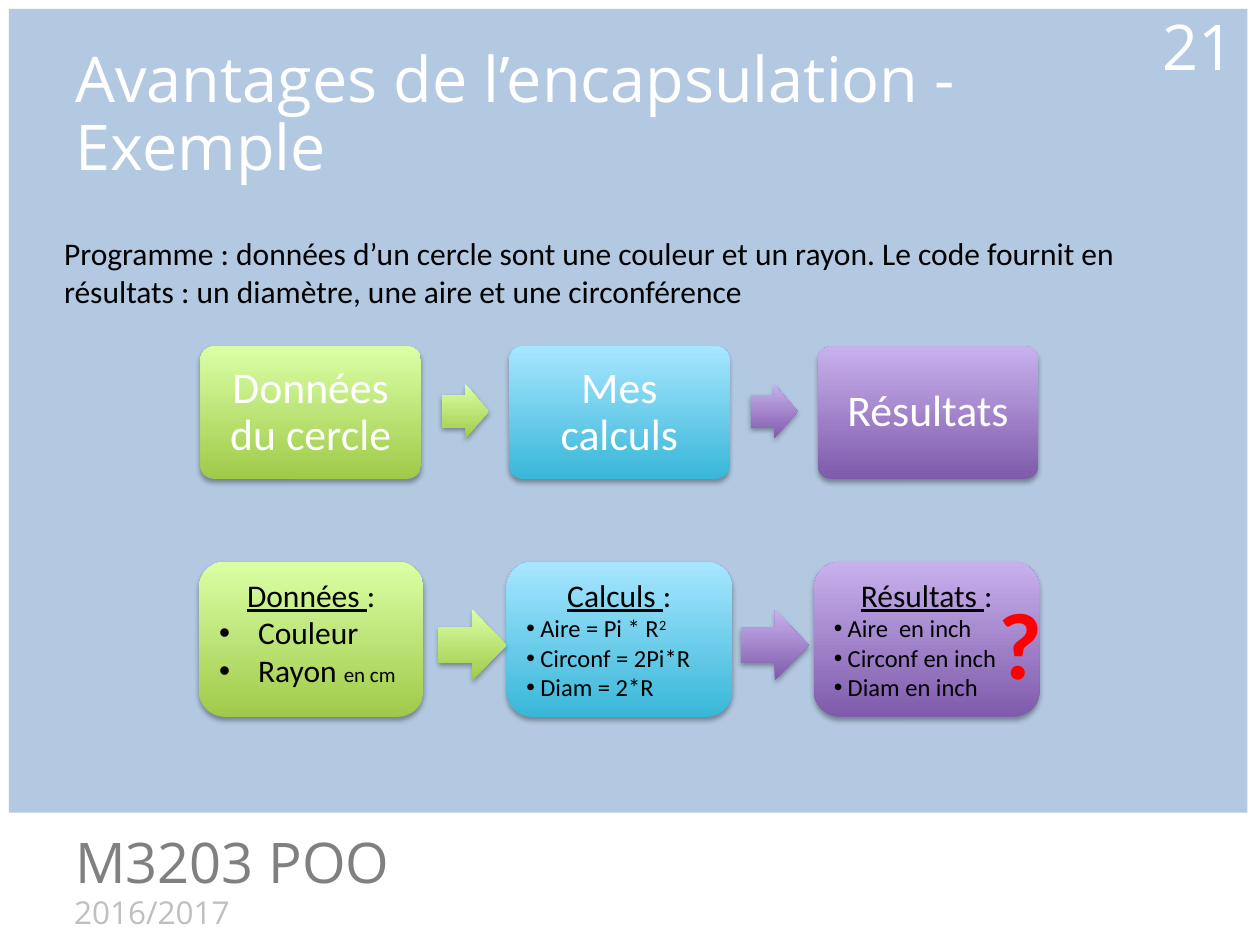
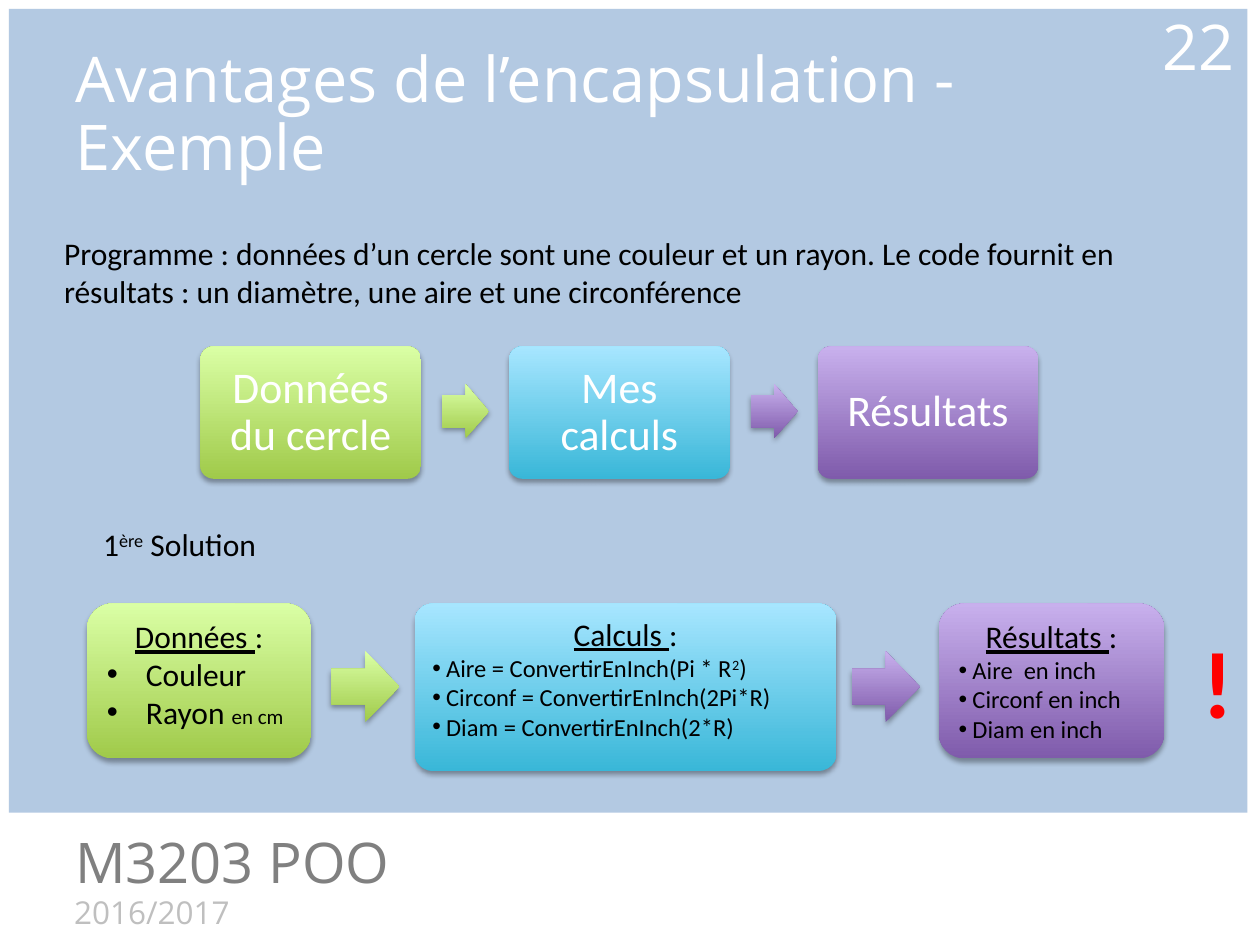
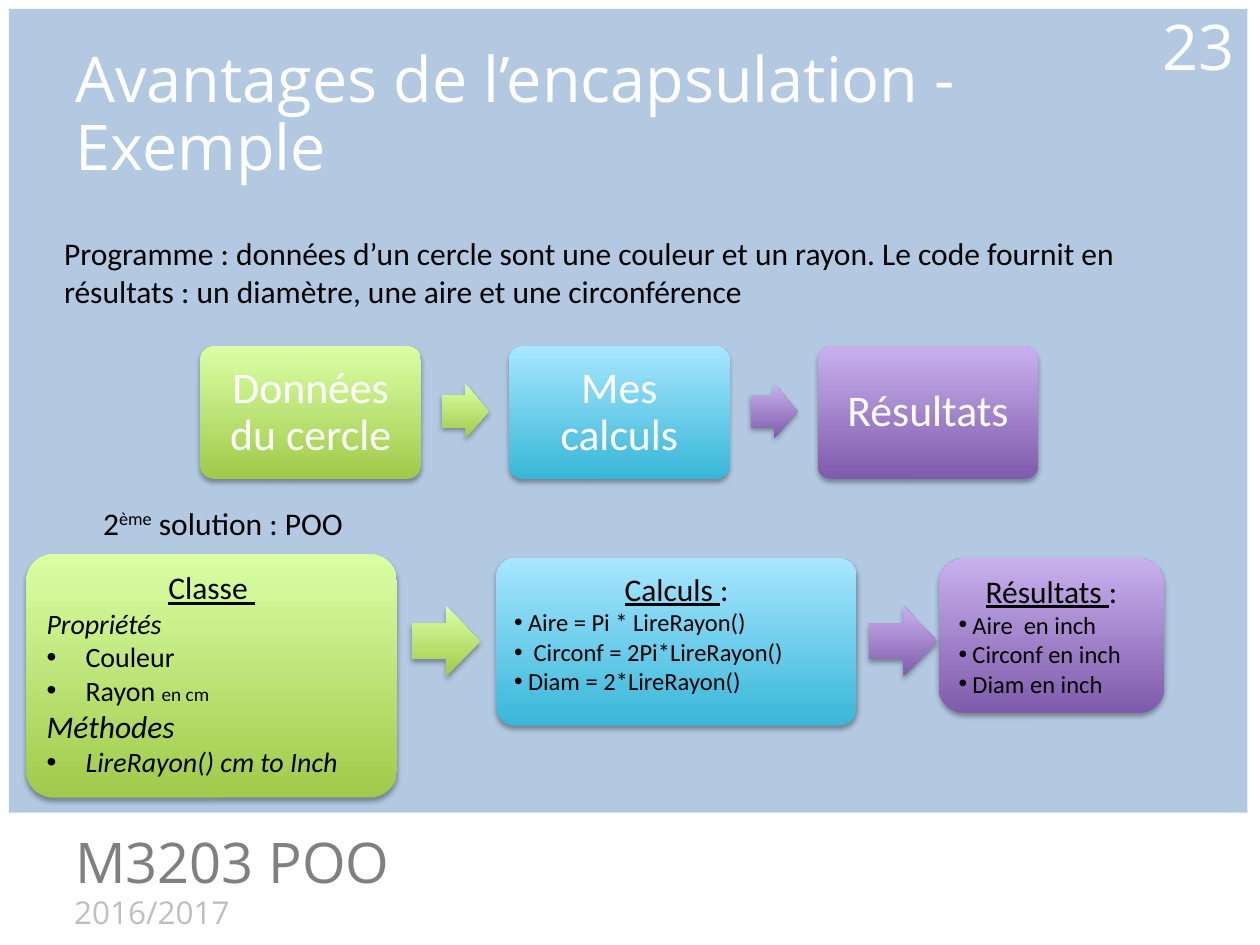
from dataclasses import dataclass

from lxml.etree import SubElement as Sub
from pptx import Presentation
from pptx.dml.color import RGBColor
from pptx.enum.shapes import MSO_SHAPE as Kind
from pptx.enum.text import MSO_ANCHOR as Anchor, PP_ALIGN as Align
from pptx.oxml.ns import qn
from pptx.util import Inches, Pt

WHITE = RGBColor(0xFF, 0xFF, 0xFF)
BLACK = RGBColor(0x00, 0x00, 0x00)
RED = RGBColor(0xFF, 0x00, 0x00)
BLUE = RGBColor(0x95, 0xB3, 0xD7)
GREY = RGBColor(0x80, 0x80, 0x80)
PALE = RGBColor(0xBF, 0xBF, 0xBF)
GREEN = (RGBColor(0xA0, 0xCA, 0x4A), RGBColor(0xDA, 0xFF, 0xA5))
CYAN = (RGBColor(0x39, 0xB7, 0xD8), RGBColor(0xA7, 0xE6, 0xFF))
MAUVE = (RGBColor(0x7F, 0x5B, 0xAB), RGBColor(0xC8, 0xB0, 0xED))
BODY = "Calibri"
HEAD = "Open Sans"

Tones = tuple[RGBColor, RGBColor]
Area = tuple[float, float, float, float]


@dataclass(frozen=True)
class Run:
    text: str
    size: float | None = None
    under: bool = False
    sup: bool = False


@dataclass(frozen=True)
class Para:
    runs: tuple[Run, ...]
    size: float = 18
    color: RGBColor = BLACK
    face: str = BODY
    align: Align = Align.LEFT
    indent: float = 0
    slant: bool = False
    bold: bool = False
    space: float | None = None


@dataclass(frozen=True)
class Card:
    area: Area
    tones: Tones
    paras: tuple[Para, ...]
    round: float = 0.167


@dataclass(frozen=True)
class Page:
    number: int
    cards: tuple[Card, ...]
    arrows: tuple[float, float]
    top: float
    mark: tuple[str, Area] | None = None
    label: tuple[tuple[Run, ...], Area] | None = None


def line(text: str, **style) -> Para:
    return Para((Run(text),), **style)


def header(text: str, tail: str = ":") -> Para:
    runs = (Run(text + " ", under=True),) + ((Run(tail),) if tail else ())
    return Para(runs, align=Align.CENTER)


def point(*runs: Run) -> Para:
    return Para(runs, size=14, indent=0.11)


def item(*runs: Run, size: float = 18, slant: bool = False) -> Para:
    return Para(runs, size=size, indent=0.31, slant=slant)


def write(frame, paras: tuple[Para, ...], anchor: Anchor = Anchor.TOP,
          wrap: bool = True) -> None:
    frame.word_wrap = wrap
    frame.vertical_anchor = anchor
    for pos, para in enumerate(paras):
        out = frame.add_paragraph() if pos else frame.paragraphs[0]
        out.alignment = para.align
        if para.space:
            out.line_spacing = para.space
        if para.indent:
            props = out._p.get_or_add_pPr()
            props.set("marL", str(Inches(para.indent)))
            props.set("indent", str(-Inches(para.indent)))
            Sub(props, qn("a:buFont"), typeface="Arial")
            Sub(props, qn("a:buChar"), char="•")
        font = out.font
        font.name, font.size = para.face, Pt(para.size)
        font.bold, font.italic = para.bold, para.slant
        font.color.rgb = para.color
        for run in para.runs:
            part = out.add_run()
            part.text = run.text
            if run.size:
                part.font.size = Pt(run.size)
            if run.under:
                part.font.underline = True
            if run.sup:
                part.font._element.set("baseline", "30000")


def label(slide, area: Area, para: Para, anchor: Anchor = Anchor.TOP,
          wrap: bool = True) -> None:
    box = slide.shapes.add_textbox(*map(Inches, area))
    write(box.text_frame, (para,), anchor, wrap)


def block(slide, kind: Kind, area: Area, tones: Tones,
          adjust: tuple[float, ...] = ()):
    shape = slide.shapes.add_shape(kind, *map(Inches, area))
    shape.line.fill.background()
    shape.fill.gradient()
    shape.fill.gradient_angle = 90
    for stop, tone in zip(shape.fill.gradient_stops, tones):
        stop.color.rgb = tone
    for pos, value in enumerate(adjust):
        shape.adjustments[pos] = value
    shape.shadow.inherit = False
    effects = shape._element.spPr.find(qn("a:effectLst"))
    shadow = Sub(effects, qn("a:outerShdw"), blurRad=str(Pt(3.1)),
                 dist=str(Pt(1.8)), dir="5400000", rotWithShape="0")
    color = Sub(shadow, qn("a:srgbClr"), val=str(BLACK))
    Sub(color, qn("a:alpha"), val="35000")
    return shape


def base(slide, number: int) -> None:
    band = slide.shapes.add_shape(
        Kind.RECTANGLE, *map(Inches, (0.07, 0.07, 9.83, 6.38)))
    band.shadow.inherit = False
    band.line.fill.background()
    band.fill.solid()
    band.fill.fore_color.rgb = BLUE
    color = band._element.spPr.find(qn("a:solidFill"))[0]
    Sub(color, qn("a:alpha"), val="71000")
    label(slide, (0.49, 7.04, 4, 0.4),
          line("2016/2017", color=PALE, face=HEAD))
    label(slide, (0.5, 6.52, 5.12, 0.64),
          line("M3203 POO", size=32, color=GREY, face=HEAD))
    label(slide, (0.5, 0.3, 9, 1.25),
          line("Avantages de l’encapsulation - Exemple", size=36,
               color=WHITE, face=HEAD, space=0.9), Anchor.MIDDLE)
    label(slide, (0.41, 1.81, 8.65, 0.71),
          line("Programme : données d’un cercle sont une couleur et un rayon. "
               "Le code fournit en résultats : un diamètre, une aire et une "
               "circonférence"))
    label(slide, (8.63, 0.07, 1.27, 0.58),
          line(str(number), size=36, color=WHITE, face=HEAD,
               align=Align.RIGHT), Anchor.MIDDLE)


def flow(slide) -> None:
    steps = (("Données du cercle", GREEN), ("Mes calculs", CYAN),
             ("Résultats", MAUVE))
    for pos, (text, tones) in enumerate(steps):
        shape = block(slide, Kind.ROUNDED_RECTANGLE,
                      (1.59 + 2.45 * pos, 2.75, 1.75, 1.05), tones, (0.1,))
        frame = shape.text_frame
        frame.margin_top = frame.margin_bottom = Inches(0.1)
        write(frame, (line(text, size=25, color=WHITE, align=Align.CENTER,
                           space=0.9),), Anchor.MIDDLE)
    for pos, tones in enumerate((GREEN, MAUVE)):
        block(slide, Kind.RIGHT_ARROW,
              (3.51 + 2.45 * pos, 3.05, 0.37, 0.43), tones, (0.6, 0.5))


def draw(deck, page: Page) -> None:
    slide = deck.slides.add_slide(deck.slide_layouts[6])
    base(slide, page.number)
    flow(slide)
    for card in page.cards:
        shape = block(slide, Kind.ROUNDED_RECTANGLE, card.area, card.tones,
                      (card.round,))
        write(shape.text_frame, card.paras)
    for left, tones in zip(page.arrows, (GREEN, MAUVE)):
        block(slide, Kind.RIGHT_ARROW, (left, page.top + 0.38, 0.54, 0.56),
              tones)
    if page.mark:
        text, area = page.mark
        label(slide, area, line(text, size=54, color=RED, bold=True,
                                align=Align.CENTER), wrap=False)
    if page.label:
        runs, area = page.label
        label(slide, area, Para(runs), wrap=False)


DATA = (header("Données"), item(Run("Couleur")),
        item(Run("Rayon "), Run("en cm", 12)))
CLASS = (header("Classe", ""),
         line("Propriétés", size=16, slant=True),
         item(Run("Couleur"), size=16),
         item(Run("Rayon "), Run("en cm", 11), size=16),
         line("Méthodes", slant=True),
         item(Run("LireRayon() cm to Inch"), size=16, slant=True))
PLAIN = (header("Calculs"),
         point(Run("Aire = Pi * R"), Run("2", sup=True)),
         point(Run("Circonf = 2Pi*R")), point(Run("Diam = 2*R")))
INCH = (header("Calculs"),
        point(Run("Aire = ConvertirEnInch(Pi * R"), Run("2", sup=True),
              Run(")")),
        point(Run("Circonf = ConvertirEnInch(2Pi*R)")),
        point(Run("Diam = ConvertirEnInch(2*R)")))
READ = (header("Calculs"), point(Run("Aire = Pi * LireRayon()")),
        point(Run(" Circonf = 2Pi*LireRayon()")),
        point(Run("Diam = 2*LireRayon()")))
RESULT = (header("Résultats"), point(Run("Aire  en inch")),
          point(Run("Circonf en inch")), point(Run("Diam en inch")))

PAGES = (
    Page(21, (Card((1.58, 4.46, 1.78, 1.23), GREEN, DATA),
              Card((4.02, 4.46, 1.79, 1.23), CYAN, PLAIN),
              Card((6.46, 4.46, 1.79, 1.23), MAUVE, RESULT)),
         (3.48, 5.88), 4.46, mark=("?", (7.82, 4.59, 0.55, 1.01))),
    Page(22, (Card((0.69, 4.79, 1.78, 1.23), GREEN, DATA),
              Card((3.29, 4.79, 3.35, 1.33), CYAN, INCH, 0.11),
              Card((7.45, 4.79, 1.79, 1.23), MAUVE, RESULT)),
         (2.63, 6.76), 4.79, mark=("!", (9.44, 4.9, 0.45, 1.01)),
         label=((Run("1"), Run("ère", sup=True), Run(" Solution")),
                (0.72, 4.12, 1.46, 0.4))),
    Page(23, (Card((0.21, 4.4, 2.94, 1.93), GREEN, CLASS, 0.11),
              Card((3.94, 4.43, 2.86, 1.33), CYAN, READ, 0.11),
              Card((7.45, 4.43, 1.79, 1.23), MAUVE, RESULT)),
         (3.27, 6.9), 4.43,
         label=((Run("2"), Run("ème", sup=True), Run(" solution : POO")),
                (0.72, 3.95, 2.16, 0.4))),
)


def main() -> None:
    deck = Presentation()
    deck.slide_width, deck.slide_height = Inches(10), Inches(7.5)
    for page in PAGES:
        draw(deck, page)
    deck.save("out.pptx")


if __name__ == "__main__":
    main()
